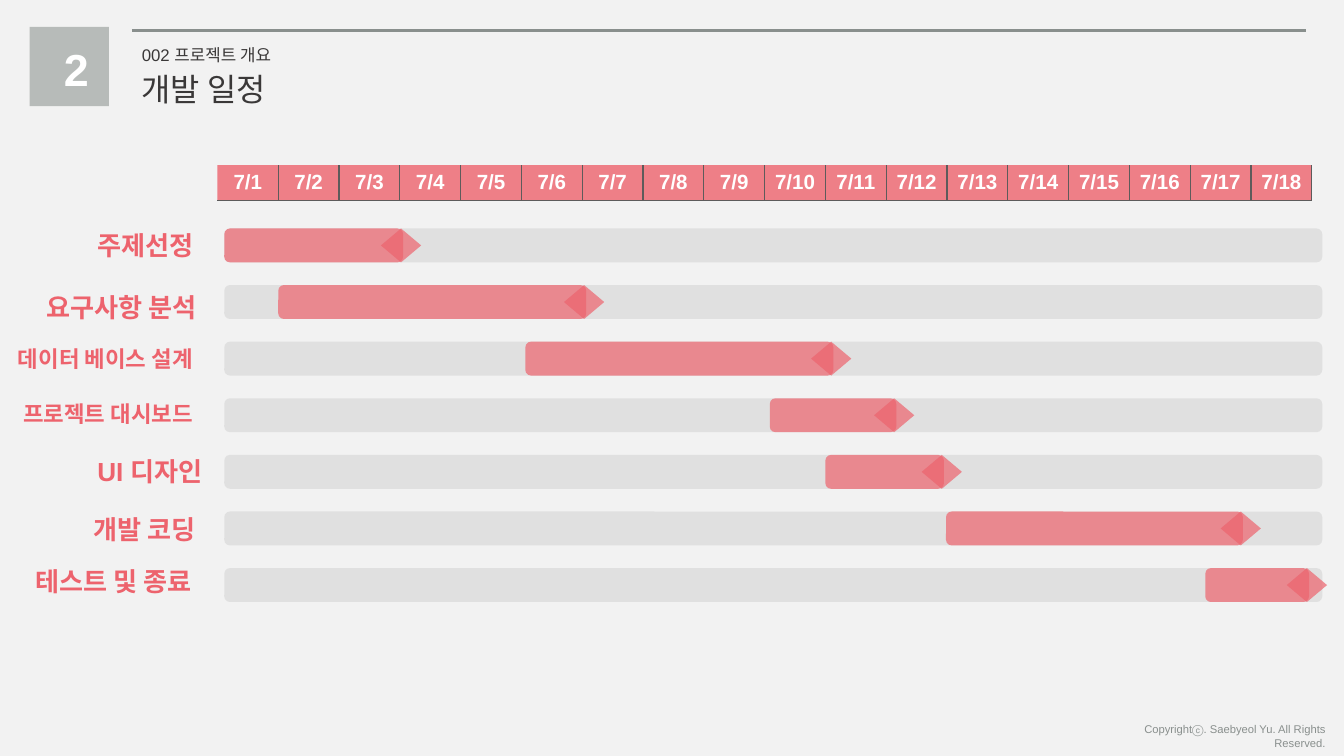
from lxml import etree
from pptx import Presentation
from pptx import util as u
from pptx.dml.color import RGBColor
from pptx.enum import shapes, text
from pptx.oxml.ns import qn

Cm, Pt = u.Cm, u.Pt
ROSE, TRACK, GREY, DARK, WHITE = "ED636D", "D9D9D9", "898F8D", "3A3838", "FFFFFF"
BORDER = "5D5B5B"
NO_TABLE_STYLE = "{2D5ABB26-0587-4C30-8999-92F81FD0307C}"

DAYS = [f"7/{day}" for day in range(1, 19)]
DAY_WIDTH = 1.15
ROW_PITCH, BAR_HEIGHT, MARKER_WIDTH = 1.07, 0.64, 0.76

# name, label left, label drop below its track, label width, size, bar start, bar length
TASKS = [
    ("주제선정", 1.65, -0.08, 3.07, 14, 0, 3.38),
    ("요구사항 분석", 0.69, 0.02, 4.04, 14, 1.02, 5.82),
    ("데이터 베이스 설계", 0.15, -0.03, 4.04, 12, 5.69, 5.82),
    ("프로젝트 대시보드", 0.25, -0.06, 3.94, 12, 10.31, 2.39),
    ("UI 디자인", 1.65, -0.09, 3.2, 14, 11.36, 2.24),
    ("개발 코딩", 1.57, -0.07, 3.81, 14, 13.64, 5.61),
    ("테스트 및 종료", 0.48, -0.15, 4.29, 14, 18.54, 1.96),
]


def color(hex_string):
    return RGBColor.from_string(hex_string)


def set_fill(target, hex_string, opacity=100):
    target.fill.solid()
    target.fill.fore_color.rgb = color(hex_string)
    if opacity < 100:
        shade = target.fill._xPr.find(qn("a:solidFill"))[0]
        etree.SubElement(shade, qn("a:alpha")).set("val", str(opacity * 1000))


def write(frame, words, size, hex_string, bold=False, align=text.PP_ALIGN.LEFT):
    para = frame.paragraphs[0]
    para.alignment = align
    span = para.add_run()
    span.text = words
    span.font.name = "Arial"
    span.font.size = Pt(size)
    span.font.bold = bold
    span.font.color.rgb = color(hex_string)


def add_text(page, box, words, **style):
    frame = page.shapes.add_textbox(*map(Cm, box)).text_frame
    frame.word_wrap = True
    frame.margin_left = frame.margin_right = Cm(0.19)
    frame.margin_top = frame.margin_bottom = Cm(0.1)
    write(frame, words, **style)


def add_block(page, kind, box, hex_string, opacity=100):
    shape = page.shapes.add_shape(kind, *map(Cm, box))
    shape.shadow.inherit = False
    shape.line.fill.background()
    set_fill(shape, hex_string, opacity)
    return shape


def add_bar(page, box, hex_string):
    bar = add_block(page, shapes.MSO_SHAPE.ROUNDED_RECTANGLE, box, hex_string, 70)
    bar.adjustments[0] = 0.167


def set_border(cell, side, visible):
    line = etree.Element(qn(f"a:{side}"), w=str(Pt(0.75)))
    if visible:
        fill = etree.SubElement(line, qn("a:solidFill"))
        etree.SubElement(fill, qn("a:srgbClr"), val=BORDER)
    else:
        etree.SubElement(line, qn("a:noFill"))
    return line


def add_header(page, left, top, width):
    # Rule, number tile and titles
    rule = page.shapes.add_connector(
        shapes.MSO_CONNECTOR.STRAIGHT,
        Cm(left + 1.93), Cm(top + 0.06), Cm(left + width), Cm(top + 0.06))
    rule.line.color.rgb = color(GREY)
    rule.line.width = Pt(1.5)
    etree.SubElement(rule._element.spPr, qn("a:effectLst"))
    add_block(page, shapes.MSO_SHAPE.RECTANGLE, (left, top, 1.5, 1.5), "B7BBB9")
    add_text(page, (left + 0.46, top + 0.18, 0.53, 1.22), "2",
             size=24, hex_string=WHITE, bold=True, align=text.PP_ALIGN.CENTER)
    add_text(page, (left + 1.93, top + 0.23, 4.24, 0.58), "002 프로젝트 개요",
             size=9, hex_string=DARK)
    add_text(page, (left + 1.93, top + 0.71, 4, 0.89), "개발 일정",
             size=17, hex_string=DARK)


def add_calendar(page, left, top, height):
    # One row of dates, ruled below and between the days
    table = page.shapes.add_table(
        1, len(DAYS), Cm(left), Cm(top), Cm(DAY_WIDTH * len(DAYS)), Cm(height)).table
    table.first_row = table.horz_banding = False
    table._tbl.tblPr.find(qn("a:tableStyleId")).text = NO_TABLE_STYLE
    for column, (day, cell) in enumerate(zip(DAYS, table.rows[0].cells)):
        table.columns[column].width = Cm(DAY_WIDTH)
        cell.margin_left = cell.margin_right = Cm(0.05)
        cell.margin_top = cell.margin_bottom = Cm(0.1)
        cell.vertical_anchor = text.MSO_ANCHOR.MIDDLE
        write(cell.text_frame, day, size=11, hex_string=WHITE, bold=True,
              align=text.PP_ALIGN.CENTER)
        set_fill(cell, ROSE, 80)
        sides = {"lnL": column > 0, "lnR": True, "lnT": False, "lnB": True}
        for place, (side, visible) in enumerate(sides.items()):
            cell._tc.tcPr.insert(place, set_border(cell, side, visible))


def add_schedule(page, left, top, width):
    # Label, track, bar and end marker for each task
    for row, (name, label_left, drop, label_width, size, start, length) in enumerate(TASKS):
        y = top + row * ROW_PITCH
        add_bar(page, (left, y, width, BAR_HEIGHT), TRACK)
        add_bar(page, (left + start, y, length, BAR_HEIGHT), ROSE)
        marker_left = left + start + length - 0.04 - MARKER_WIDTH / 2
        add_block(page, shapes.MSO_SHAPE.DIAMOND,
                  (marker_left, y, MARKER_WIDTH, BAR_HEIGHT), ROSE, 70)
        add_text(page, (label_left, y + drop, label_width, 0.76), name,
                 size=size, hex_string=ROSE, bold=True)


def add_footer(page, left, top, width, height):
    add_text(page, (left, top, width, height),
             "Copyrightⓒ. Saebyeol Yu. All Rights Reserved.",
             size=6, hex_string=GREY, align=text.PP_ALIGN.RIGHT)


def main():
    deck = Presentation()
    deck.slide_width, deck.slide_height = Cm(25.4), Cm(14.29)
    page = deck.slides.add_slide(deck.slide_layouts[6])
    set_fill(page.background, "F2F2F2")
    add_footer(page, 20.57, 13.56, 4.67, 0.46)
    add_schedule(page, 4.24, 4.32, 20.75)
    add_header(page, 0.56, 0.51, 24.13)
    add_calendar(page, 4.11, 3.12, 0.64)
    deck.save("out.pptx")


if __name__ == "__main__":
    main()
